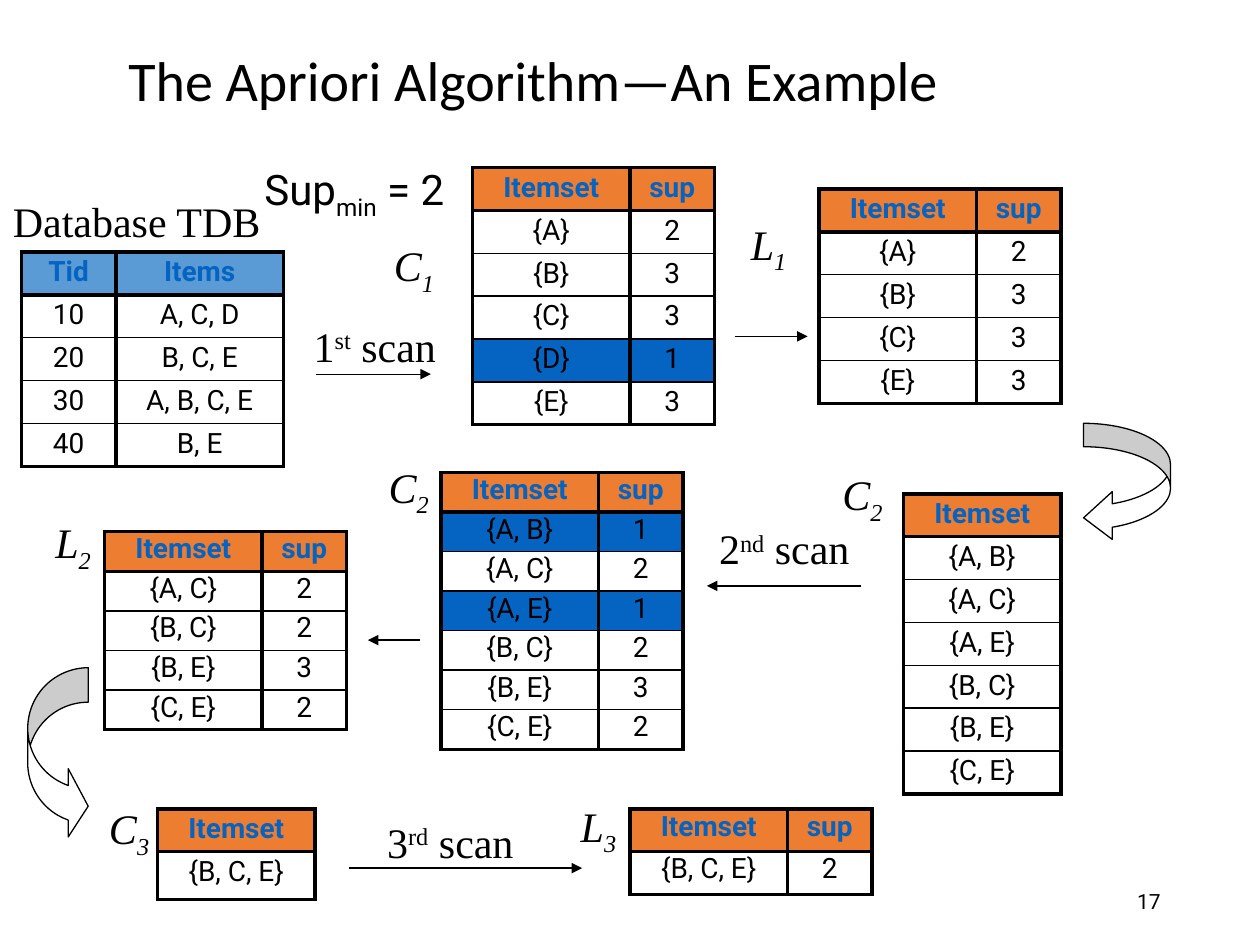
from lxml.etree import SubElement as Sub
from pptx import Presentation as Deck
from pptx.dml.color import RGBColor as Rgb
from pptx.enum.shapes import MSO_CONNECTOR as Link, MSO_SHAPE as Form
from pptx.enum.text import MSO_ANCHOR as Anchor, MSO_AUTO_SIZE as Fit, PP_ALIGN as Align
from pptx.oxml.ns import qn
from pptx.util import Inches, Pt

HUES = {"ink": "000000", "paper": "FFFFFF", "blue": "0563C1",
        "sky": "5B9BD5", "orange": "ED7D31"}
SERIF = {"name": "Times New Roman", "size": Pt(24)}
SLANT = {**SERIF, "italic": True}
CELL = {"name": "Roboto", "size": Pt(16), "bold": False}
HEAD = {**CELL, "bold": True}
SNUG = {"word_wrap": False, "vertical_anchor": Anchor.MIDDLE,
        "auto_size": Fit.SHAPE_TO_FIT_TEXT}
MID = {"word_wrap": True, "vertical_anchor": Anchor.MIDDLE}
GROW = {"word_wrap": True, "auto_size": Fit.SHAPE_TO_FIT_TEXT}
PAIR = (1.25, 0.67)


def apply(item, form):
    for key, value in form.items():
        setattr(item, key, value)


def hue(name):
    return Rgb.from_string(HUES[name])


def place(*sizes):
    return [Inches(size) for size in sizes]


def write(para, parts, font, form, ink="ink"):
    apply(para, form)
    for text, base in parts:
        run = para.add_run()
        run.text = text
        apply(run.font, font)
        run.font.color.rgb = hue(ink)
        if base:
            run._r.get_or_add_rPr().set("baseline", str(base * 1000))


def label(slide, box, parts, font, frame=SNUG, align=Align.CENTER, lead=1.0):
    text = slide.shapes.add_textbox(*place(*box)).text_frame
    apply(text, frame)
    write(text.paragraphs[0], parts, font, {"alignment": align, "line_spacing": lead})


def mark(slide, left, top, name, sub):
    wide = 0.53 if name == "C" else 0.5
    label(slide, (left, top, wide, 0.5), [(name, 0), (sub, -25)], SLANT)


def scan(slide, left, top, wide, num, end):
    label(slide, (left, top, wide, 0.5), [(num, 0), (end, 30), (" scan", 0)], SERIF)


def arrow(slide, start, stop, top):
    line = slide.shapes.add_connector(Link.STRAIGHT, *place(start, top, stop, top))
    line.line.color.rgb = hue("ink")
    line.line.width = Pt(0.75)
    Sub(line.line._get_or_add_ln(), qn("a:tailEnd"), type="triangle")
    Sub(line._element.spPr, qn("a:effectLst"))


def bend(slide, kind, box, bends):
    shape = slide.shapes.add_shape(kind, *place(*box))
    shape.shadow.inherit = False
    shape.fill.solid()
    shape.fill.fore_color.rgb = hue("paper")
    shape.line.color.rgb = hue("ink")
    shape.line.width = Pt(0.75)
    for spot, value in enumerate(bends):
        shape.adjustments[spot] = value


def edge(cell, sides):
    props = cell._tc.get_or_add_tcPr()
    for spot, (side, width) in enumerate(sides.items()):
        line = Sub(props, qn("a:ln" + side), w=str(Pt(width)))
        fill = Sub(line, qn("a:solidFill"))
        Sub(fill, qn("a:srgbClr"), val=HUES["ink"])
        props.insert(spot, line)


def paint(cell, name):
    if name:
        cell.fill.solid()
        cell.fill.fore_color.rgb = hue(name)
    else:
        cell.fill.background()


def table(slide, left, top, cols, high, rows, lead=0.9, tint="orange", foot=None):
    last = len(rows) - 1
    box = place(left, top, sum(cols), high * len(rows))
    grid = slide.shapes.add_table(len(rows), len(cols), *box).table
    apply(grid, {"first_row": False, "horz_banding": False})
    for col, wide in zip(grid.columns, cols):
        col.width = Inches(wide)
    for r, row in enumerate(rows):
        grid.rows[r].height = Inches(foot if foot and r == last else high)
        back = tint if r == 0 else "blue" if row[-1] == "1" else None
        for c, text in enumerate(row):
            cell = grid.cell(r, c)
            paint(cell, back)
            edge(cell, {"L": 2.25, "R": 2.25, "T": 2.25 if r < 2 else 1,
                        "B": 2.25 if r in (0, last) else 1})
            write(cell.text_frame.paragraphs[0], [(text, 0)], CELL if r else HEAD,
                  {"alignment": Align.CENTER, "line_spacing": lead},
                  "ink" if r else "blue")


def count(sets, sums):
    return [("Itemset", "sup")] + [("{%s}" % s, n) for s, n in zip(sets, sums)]


def single(sets):
    return [("Itemset",)] + [("{%s}" % s,) for s in sets]


def main():
    deck = Deck()
    apply(deck, {"slide_width": Inches(10), "slide_height": Inches(7.5)})
    slide = deck.slides.add_slide(deck.slide_layouts[6])

    label(slide, (0.92, 0.33, 8.52, 0.67), [("The Apriori Algorithm—An Example", 0)],
          {"name": "Calibri", "size": Pt(32)}, MID, Align.LEFT, 0.9)
    label(slide, (7.06, 6.95, 2.25, 0.4), [("17", 0)],
          {"name": "Roboto", "size": Pt(12)}, MID, Align.RIGHT)
    label(slide, (0, 1.5, 2.17, 0.5), [("Database TDB", 0)], SERIF)

    for args in [(2.38, 2.49, 1.19, "1", "st"), (5.59, 4.1, 1.27, "2", "nd"),
                 (2.96, 6.43, 1.23, "3", "rd")]:
        scan(slide, *args)
    for args in [(3.02, 1.88, "C", "1"), (5.85, 1.71, "L", "1"),
                 (0.33, 4.08, "L", "2"), (2.98, 3.64, "C", "2"),
                 (6.58, 3.7, "C", "2"), (0.76, 6.35, "C", "3"),
                 (4.5, 6.33, "L", "3")]:
        mark(slide, *args)
    for args in [(2.51, 3.42, 2.97), (6.83, 5.61, 4.65), (2.77, 4.62, 6.89),
                 (5.83, 6.41, 2.67), (3.33, 2.92, 5.08)]:
        arrow(slide, *args)
    bend(slide, Form.CURVED_LEFT_ARROW, (8.6, 3.36, 0.69, 0.94), (0.27, 0.55, 0.33))
    bend(slide, Form.CURVED_RIGHT_ARROW, (0.22, 5.3, 0.48, 1.37), (0.57, 1.13, 0.33))

    pairs = ["A, B", "A, C", "A, E", "B, C", "B, E", "C, E"]
    table(slide, 0.17, 2, (0.75, 1.33), 0.34,
          [("Tid", "Items"), ("10", "A, C, D"), ("20", "B, C, E"),
           ("30", "A, B, C, E"), ("40", "B, E")], tint="sky")
    table(slide, 3.75, 1.33, PAIR, 0.34, count("ABCDE", "23313"))
    table(slide, 6.5, 1.5, PAIR, 0.34, count("ABCE", "2333"))
    table(slide, 7.17, 3.92, PAIR[:1], 0.34, single(pairs))
    table(slide, 3.5, 3.75, PAIR, 2.19 / 7, count(pairs, "121232"), 0.8)
    table(slide, 0.83, 4.22, PAIR, 1.57 / 5,
          count(["A, C", "B, C", "B, E", "C, E"], "2232"), 0.8)
    table(slide, 1.25, 6.42, PAIR[:1], 0.34, single(["B, C, E"]), foot=0.38)
    table(slide, 5, 6.42, PAIR, 0.34, count(["B, C, E"], "2"), 0.8)

    label(slide, (2, 1.25, 1.92, 0.5), [("Sup", 0), ("min", -25), (" = 2", 0)],
          {"name": "Roboto", "size": Pt(24)}, GROW, Align.LEFT)
    deck.save("out.pptx")


main()
